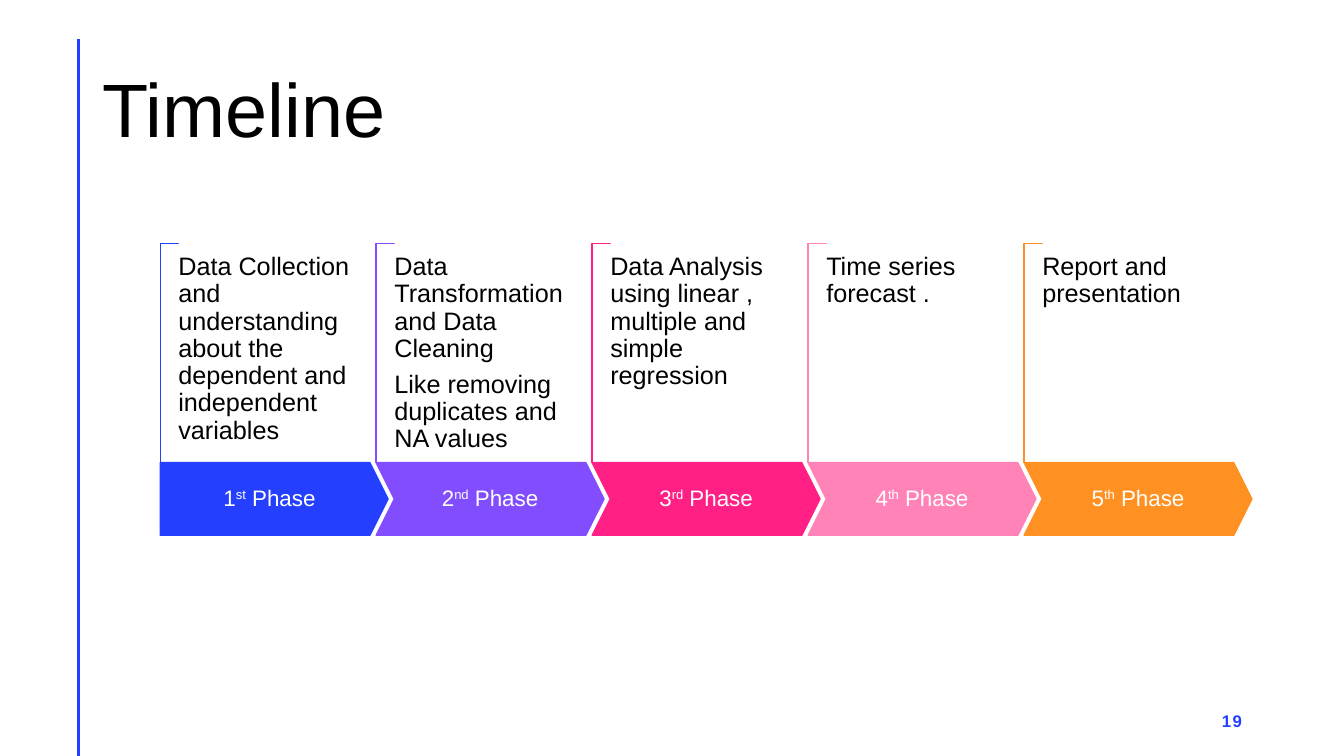
from dataclasses import dataclass

from pptx import Presentation
from pptx.dml.color import RGBColor
from pptx.enum.shapes import MSO_CONNECTOR, MSO_SHAPE
from pptx.enum.text import MSO_ANCHOR, PP_ALIGN
from pptx.oxml.ns import qn
from pptx.shapes.autoshape import Shape
from pptx.slide import Slide
from pptx.text.text import TextFrame, _Paragraph
from pptx.util import Emu, Inches, Pt

COLORS = {
    "ink": "000000",
    "paper": "FFFFFF",
    "blue": "243FFF",
    "violet": "814DFF",
    "magenta": "FF1F85",
    "pink": "FF83B6",
    "orange": "FF9022",
}
FONT = "Arial"
SLIDE_WIDTH, SLIDE_HEIGHT = Inches(13.33), Inches(7.5)

# Phase grid, in percent of the slide's width or height
FIRST_COLUMN, COLUMN_PITCH = 11.92, 16.07
INDENT = 1.35
BRACKET_TOP, NOTE_TOP, BAND_TOP = 32.2, 33.6, 61.2
BAND_WIDTH, BAND_HEIGHT = 16.95, 9.6
NOTE_WIDTH, NOTE_HEIGHT = 13.73, 20.67


@dataclass(frozen=True)
class Box:
    """An area in percent of the slide's width and height."""
    left: float
    top: float
    width: float
    height: float

    def emu(self) -> tuple[Emu, Emu, Emu, Emu]:
        return (across(self.left), down(self.top),
                across(self.width), down(self.height))


@dataclass(frozen=True)
class Phase:
    number: str
    suffix: str
    color: str
    notes: tuple[str, ...]


PHASES = (
    Phase("1", "st", "blue", (
        "Data Collection and understanding about the dependent and "
        "independent variables",)),
    Phase("2", "nd", "violet", (
        "Data Transformation and Data Cleaning",
        "Like removing duplicates and NA values")),
    Phase("3", "rd", "magenta", (
        "Data Analysis using linear , multiple and simple regression",)),
    Phase("4", "th", "pink", ("Time series forecast .",)),
    Phase("5", "th", "orange", ("Report and presentation",)),
)


def across(percent: float) -> Emu:
    return Emu(round(SLIDE_WIDTH * percent / 100))


def down(percent: float) -> Emu:
    return Emu(round(SLIDE_HEIGHT * percent / 100))


def rgb(name: str) -> RGBColor:
    return RGBColor.from_string(COLORS[name])


def add_frame(slide: Slide, box: Box, anchor: MSO_ANCHOR,
              inset_x: float = 0.1, inset_y: float = 0.05) -> TextFrame:
    frame = slide.shapes.add_textbox(*box.emu()).text_frame
    frame.word_wrap = True
    frame.vertical_anchor = anchor
    frame.margin_left = frame.margin_right = Inches(inset_x)
    frame.margin_top = frame.margin_bottom = Inches(inset_y)
    return frame


def style(paragraph: _Paragraph, size: int, color: str, after: float = 0,
          spacing: float = 0.9, align: PP_ALIGN = PP_ALIGN.LEFT) -> None:
    paragraph.alignment = align
    paragraph.line_spacing = spacing
    paragraph.space_after = Pt(after)
    paragraph.font.name = FONT
    paragraph.font.size = Pt(size)
    paragraph.font.color.rgb = rgb(color)


def add_outline(slide: Slide, preset: MSO_SHAPE, box: Box, fill: str,
                line: str, adjustments: tuple[float, ...]) -> Shape:
    outline = slide.shapes.add_shape(preset, *box.emu())
    outline.shadow.inherit = False
    outline.fill.solid()
    outline.fill.fore_color.rgb = rgb(fill)
    outline.line.color.rgb = rgb(line)
    outline.line.width = Pt(1)
    for index, value in enumerate(adjustments):
        outline.adjustments[index] = value
    return outline


def add_bracket(slide: Slide, left: float, color: str) -> None:
    bracket = add_outline(
        slide, MSO_SHAPE.CORNER,
        Box(left, BRACKET_TOP, INDENT, BAND_TOP - BRACKET_TOP),
        "paper", color, (0.01, 0.01))
    # A quarter turn swaps the sides around the centre
    shift = (bracket.height - bracket.width) // 2
    bracket.left, bracket.top = bracket.left - shift, bracket.top + shift
    bracket.width, bracket.height = bracket.height, bracket.width
    bracket.rotation = 90


def add_phase(slide: Slide, index: int, phase: Phase) -> None:
    left = FIRST_COLUMN + index * COLUMN_PITCH
    first = index == 0
    add_bracket(slide, left, phase.color)
    add_outline(slide, MSO_SHAPE.PENTAGON if first else MSO_SHAPE.CHEVRON,
                Box(left, BAND_TOP, BAND_WIDTH, BAND_HEIGHT),
                phase.color, phase.color, (0.25,))

    # Phase label, clear of the arrow's notch and point
    start = 0 if first else INDENT
    label_box = Box(left + start, BAND_TOP,
                    BAND_WIDTH - start - INDENT / (2 if first else 1),
                    BAND_HEIGHT)
    label = add_frame(slide, label_box, MSO_ANCHOR.MIDDLE,
                      0.11, 0.22).paragraphs[0]
    style(label, 16, "paper", after=5.6, align=PP_ALIGN.CENTER)
    label.add_run().text = phase.number
    ordinal = label.add_run()
    ordinal.text = phase.suffix
    ordinal.font._element.set("baseline", "30000")
    label.add_run().text = " Phase"

    # Notes above the band
    notes = add_frame(
        slide, Box(left + INDENT, NOTE_TOP, NOTE_WIDTH, NOTE_HEIGHT),
        MSO_ANCHOR.TOP, 0, 0)
    notes.text = "\n".join(phase.notes)
    for note in notes.paragraphs:
        style(note, 18, "ink", after=6.3)


def add_margin_rule(slide: Slide) -> None:
    rule = slide.shapes.add_connector(
        MSO_CONNECTOR.STRAIGHT, across(5.85), down(5.2),
        across(5.85), down(100))
    rule.line.color.rgb = rgb("blue")
    rule.line.width = Pt(2)
    properties = rule._element.spPr
    properties.append(properties.makeelement(qn("a:effectLst"), {}))


def add_title(slide: Slide) -> None:
    title = add_frame(slide, Box(6.9, 5.33, 86.25, 19.33),
                      MSO_ANCHOR.MIDDLE).paragraphs[0]
    title.text = "Timeline"
    style(title, 54, "ink")


def add_page_number(slide: Slide) -> None:
    number = add_frame(slide, Box(70.65, 92.67, 22.5, 5.33),
                       MSO_ANCHOR.MIDDLE).paragraphs[0]
    number.text = "19"
    style(number, 12, "blue", after=6, spacing=1.0, align=PP_ALIGN.RIGHT)
    number.font.bold = True
    number.runs[0].font._element.set("spc", "100")


def main() -> None:
    deck = Presentation()
    deck.slide_width, deck.slide_height = SLIDE_WIDTH, SLIDE_HEIGHT
    slide = deck.slides.add_slide(deck.slide_layouts[6])
    add_margin_rule(slide)
    add_title(slide)
    add_page_number(slide)
    for index, phase in enumerate(PHASES):
        add_phase(slide, index, phase)
    deck.save("out.pptx")


if __name__ == "__main__":
    main()
